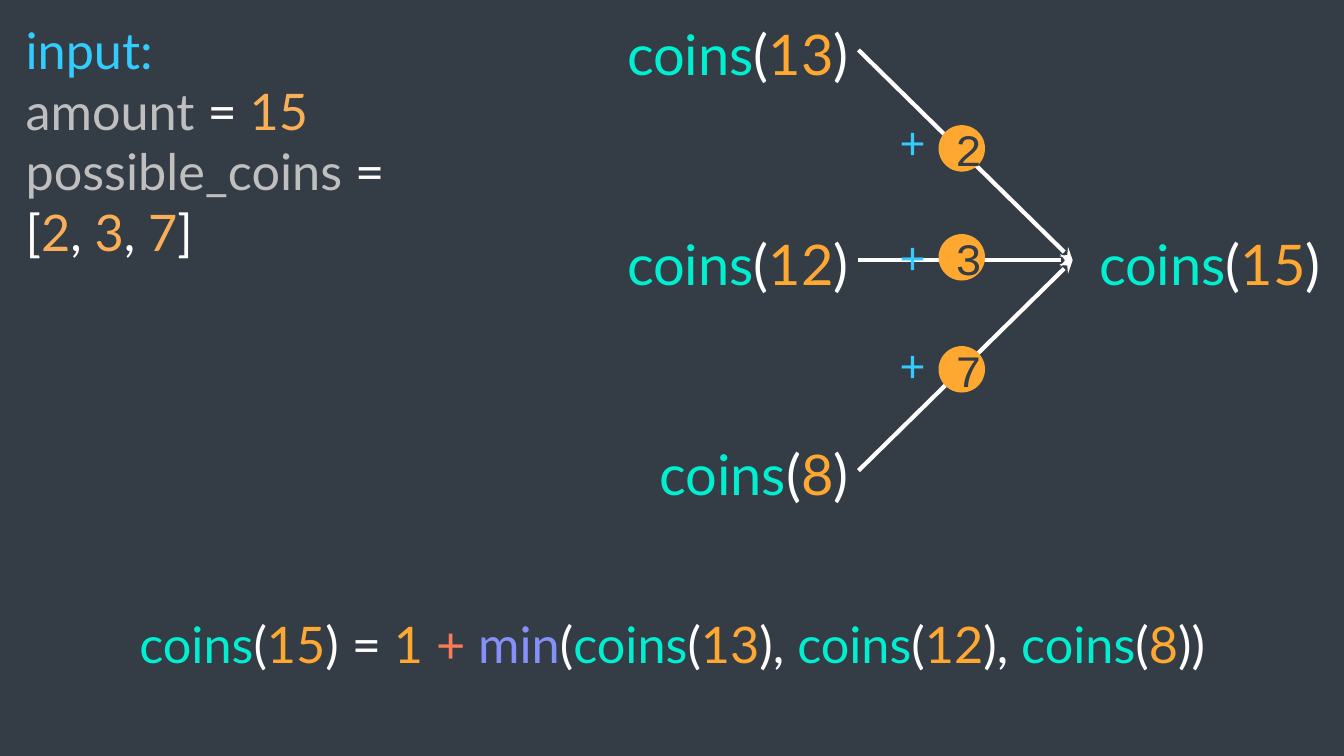
from lxml.etree import SubElement
from pptx import Presentation
from pptx.dml.color import RGBColor
from pptx.enum.shapes import MSO_CONNECTOR, MSO_SHAPE
from pptx.enum.text import MSO_ANCHOR, PP_ALIGN
from pptx.oxml.ns import qn
from pptx.util import Pt

SLATE = RGBColor(0x34, 0x3D, 0x46)
WHITE = RGBColor(0xFF, 0xFF, 0xFF)
SKY = RGBColor(0x33, 0xCC, 0xFF)
GRAY = RGBColor(0xBF, 0xBF, 0xBF)
APRICOT = RGBColor(0xF9, 0xAE, 0x57)
ORANGE = RGBColor(0xFE, 0xA8, 0x32)
TEAL = RGBColor(0x00, 0xEF, 0xD1)
CORAL = RGBColor(0xF9, 0x7B, 0x57)
VIOLET = RGBColor(0x86, 0x90, 0xFA)

CALL_WIDTH, CALL_HEIGHT = 196, 51
COIN_SIZE = 33.2


def add_span(para, text, color, size, font="Lato"):
    span = para.add_run()
    span.text = text
    span.font.name = font
    span.font.size = Pt(size)
    span.font.color.rgb = color


def add_text(page, box, lines, size, align=PP_ALIGN.LEFT):
    frame = page.shapes.add_textbox(*map(Pt, box)).text_frame
    frame.word_wrap = True
    for index, spans in enumerate(lines):
        para = frame.add_paragraph() if index else frame.paragraphs[0]
        para.alignment = align
        for text, color in spans:
            add_span(para, text, color, size)


def coins_call(amount):
    return [("coins", TEAL), ("(", WHITE), (str(amount), ORANGE), (")", WHITE)]


def add_arrow(page, start, end):
    arrow = page.shapes.add_connector(
        MSO_CONNECTOR.STRAIGHT, *map(Pt, start + end))
    arrow.line.color.rgb = WHITE
    arrow.line.width = Pt(3)
    SubElement(arrow.line._get_or_add_ln(), qn("a:tailEnd"), type="stealth")
    SubElement(arrow._element.spPr, qn("a:effectLst"))


def add_coin(page, left, top, value):
    coin = page.shapes.add_shape(
        MSO_SHAPE.OVAL, Pt(left), Pt(top), Pt(COIN_SIZE), Pt(COIN_SIZE))
    coin.shadow.inherit = False
    coin.fill.solid()
    coin.fill.fore_color.rgb = ORANGE
    coin.line.fill.background()
    coin.text_frame.vertical_anchor = MSO_ANCHOR.MIDDLE
    para = coin.text_frame.paragraphs[0]
    para.alignment = PP_ALIGN.CENTER
    add_span(para, str(value), SLATE, 32, "Courier New")


def add_input(page, box):
    values = [("2", APRICOT), (", ", WHITE), ("3", APRICOT), (", ", WHITE),
              ("7", APRICOT), ("]", WHITE)]
    add_text(page, box, [
        [("input:", SKY)],
        [("amount", GRAY), (" = ", WHITE), ("15", APRICOT)],
        [("possible_coins", GRAY), (" = [", WHITE)] + values,
    ], 36)


def add_diagram(page, box):
    left, top, width, height = box
    pitch = (height - CALL_HEIGHT) / 2
    middle = CALL_HEIGHT / 2
    target = (left + width - CALL_WIDTH, top + pitch + middle)
    add_text(page, (target[0], top + pitch, CALL_WIDTH, CALL_HEIGHT),
             [coins_call(15)], 40, PP_ALIGN.CENTER)
    amounts = (13, 12, 8)
    for row, amount in enumerate(amounts):
        row_top = top + row * pitch
        add_text(page, (left, row_top, CALL_WIDTH, CALL_HEIGHT),
                 [coins_call(amount)], 40, PP_ALIGN.RIGHT)
        add_arrow(page, (left + CALL_WIDTH, row_top + middle), target)
    coin_tops = (79.2, 157, 237)
    plus_tops = (68.5, 150.5, 227.5)
    for amount, coin_top, plus_top in zip(amounts, coin_tops, plus_tops):
        add_coin(page, left + 253.2, top + coin_top, 15 - amount)
        add_text(page, (left + 208, top + plus_top, 53.2, 42.5),
                 [[("+", SKY)]], 32, PP_ALIGN.CENTER)


def add_formula(page, box):
    spans = coins_call(15) + [(" = ", WHITE), ("1 ", ORANGE), ("+ ", CORAL),
                              ("min", VIOLET), ("(", WHITE)]
    for amount, separator in ((13, ", "), (12, ", "), (8, ")")):
        spans += coins_call(amount) + [(separator, WHITE)]
    add_text(page, box, [spans], 36, PP_ALIGN.CENTER)


def main():
    deck = Presentation()
    deck.slide_width, deck.slide_height = Pt(960), Pt(540)
    page = deck.slides.add_slide(deck.slide_layouts[6])
    page.background.fill.solid()
    page.background.fill.fore_color.rgb = SLATE
    add_input(page, (11.2, 10.2, 281.5, 181.5))
    add_diagram(page, (417.2, 10.2, 545, 351.5))
    add_formula(page, (63.2, 434.2, 833.8, 51))
    deck.save("out.pptx")


if __name__ == "__main__":
    main()
